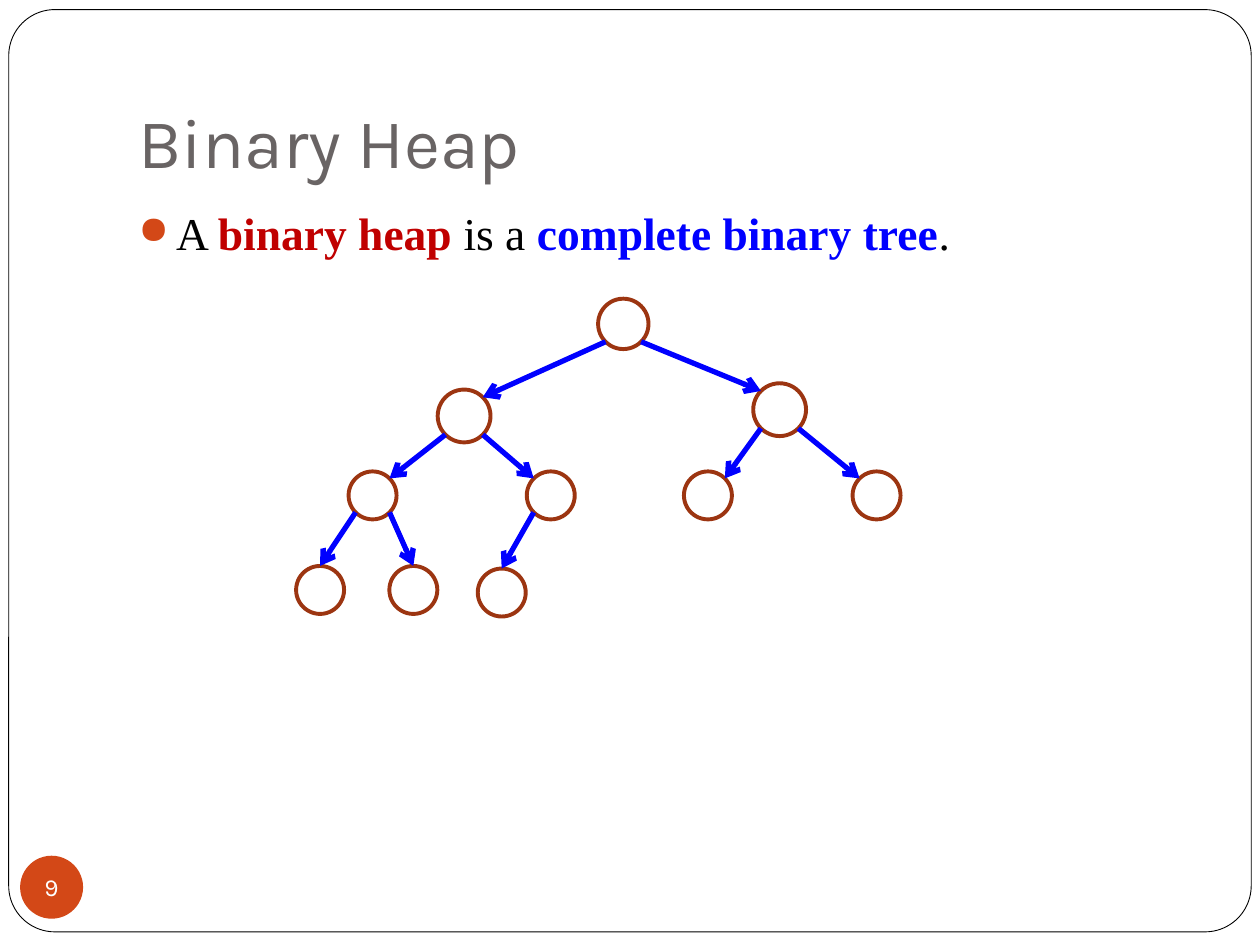
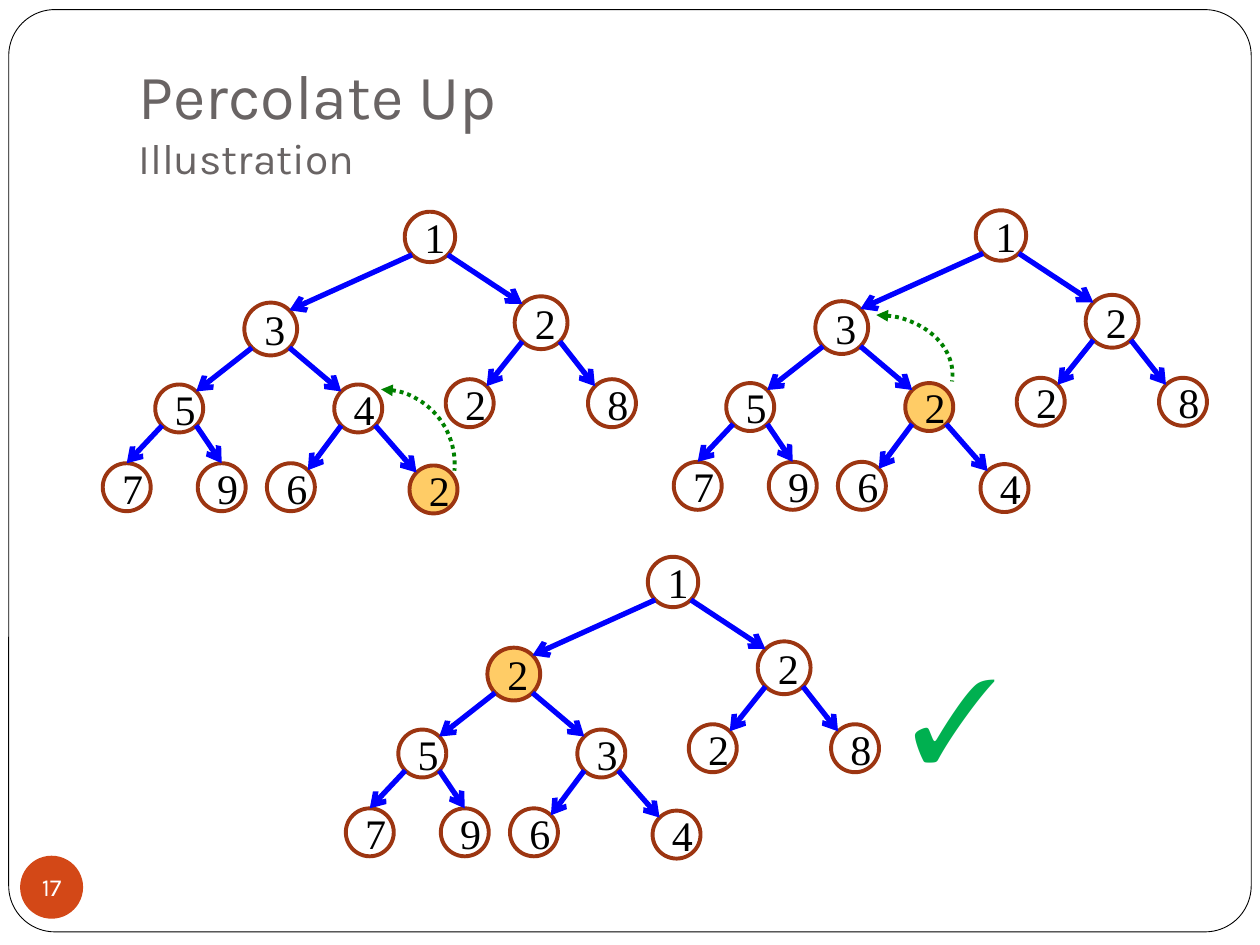
from lxml.etree import SubElement
from pptx import Presentation
from pptx.dml.color import RGBColor
from pptx.enum.dml import MSO_LINE
from pptx.enum.shapes import MSO_CONNECTOR as Connector, MSO_SHAPE as Shape
from pptx.enum.text import MSO_ANCHOR as Anchor, PP_ALIGN as Align
from pptx.oxml.ns import qn
from pptx.util import Pt

COLORS = {
    "white": "FFFFFF", "black": "000000", "title": "696464", "accent": "D34817",
    "ring": "9C3511", "edge": "0000FF", "marked": "FFCC66", "move": "008000",
    "term": "C00000", "done": "00B050",
}
HEADING, SERIF = "Karla", "Times New Roman"
NODE_SIZES = (28.8, 30.2, 27.4, 27.4)
CORNER = 0.354

WIDE_HEAP = (
    (0, 0),
    (-91, 52.6), (89.3, 49),
    (-143.3, 98), (-41.5, 98), (48.3, 98), (144.7, 98),
    (-173.3, 152), (-120, 152), (-69.5, 153.5),
)
COMPACT_HEAP = (
    (0, 0),
    (-91, 52.6), (63.5, 49),
    (-143.3, 98), (-41, 98), (22.7, 95), (104, 95),
    (-173.3, 143), (-119, 143), (-79.5, 143), (2, 144.3),
)
PERCOLATION = (
    ((245.7, 135.4), "13254287962", 10),
    ((572, 134.6), "13252287964", 4),
    ((384.6, 332.6), "12253287964", 1),
)
MOVES = ((175.7, 222.5, 84.2, 85.7), (457.2, 180, 87.1, 68.4))


def color(name):
    return RGBColor.from_string(COLORS[name])


def apply(target, values):
    for name, value in values.items():
        setattr(target, name, value)


class Deck:
    def __init__(self):
        self.deck = Presentation()
        apply(self.deck, {"slide_width": Pt(720), "slide_height": Pt(540)})
        self.page = None

    def add_page(self, number, *title):
        self.page = self.deck.slides.add_slide(self.deck.slide_layouts[6])
        frame = self.shape(Shape.ROUNDED_RECTANGLE, (5, 5.5, 710, 527), "white", "black", 0.5)
        frame.adjustments[0] = 0.05
        heading = self.box((72, 21.6, 612, 90), anchor=Anchor.BOTTOM, margin_bottom=Pt(7.2))
        para = heading.text_frame.paragraphs[0]
        for index, (text, size) in enumerate(title):
            if index:
                para.add_line_break()
            self.span(para, text, size, "title", HEADING)
        badge = self.shape(Shape.OVAL, (11.5, 489, 36, 36), "accent")
        self.label(badge, str(number), 14, "white", HEADING, word_wrap=False,
                   margin_left=0, margin_right=0, margin_top=0, margin_bottom=0)

    def box(self, area, anchor=Anchor.TOP, **format_values):
        box = self.page.shapes.add_textbox(*map(Pt, area))
        apply(box.text_frame, {"word_wrap": True, "vertical_anchor": anchor, **format_values})
        return box

    def span(self, para, text, size, tone, font=SERIF, bold=False):
        span = para.add_run()
        span.text = text
        apply(span.font, {"name": font, "size": Pt(size), "bold": bold})
        span.font.color.rgb = color(tone)

    def label(self, shape, text, size, tone, font=SERIF, **format_values):
        apply(shape.text_frame, {"word_wrap": True, "vertical_anchor": Anchor.MIDDLE, **format_values})
        para = shape.text_frame.paragraphs[0]
        para.alignment = Align.CENTER
        self.span(para, text, size, tone, font)

    def shape(self, kind, area, fill=None, line=None, width=2.25):
        shape = self.page.shapes.add_shape(kind, *map(Pt, area))
        shape.shadow.inherit = False
        if fill:
            shape.fill.solid()
            shape.fill.fore_color.rgb = color(fill)
        else:
            shape.fill.background()
        if line:
            shape.line.color.rgb = color(line)
            shape.line.width = Pt(width)
        else:
            shape.line.fill.background()
        return shape

    def bullet(self, area, spans, size=26):
        para = self.box(area).text_frame.paragraphs[0]
        para.space_before = Pt(5.8)
        props = para._p.get_or_add_pPr()
        apply_indent = {"marL": Pt(21.6), "indent": -Pt(21.6)}
        for name, value in apply_indent.items():
            props.set(name, str(int(value)))
        tint = SubElement(props, qn("a:buClr"))
        SubElement(tint, qn("a:srgbClr"), val=COLORS["accent"])
        SubElement(props, qn("a:buSzPct"), val="85000")
        SubElement(props, qn("a:buChar"), char="●")
        for text, tone, bold in spans:
            self.span(para, text, size, tone, bold=bold)

    def edge(self, start, end):
        edge = self.page.shapes.add_connector(Connector.STRAIGHT, *map(Pt, start + end))
        edge.line.color.rgb = color("edge")
        edge.line.width = Pt(3)
        SubElement(edge.get_or_add_ln(), qn("a:tailEnd"), type="arrow")
        SubElement(edge.element.spPr, qn("a:effectLst"))

    def move(self, area):
        arc = self.shape(Shape.ARC, area, line="move")
        arc.adjustments[0], arc.adjustments[1] = 162, 2.97
        arc.line.dash_style = MSO_LINE.ROUND_DOT
        SubElement(arc.get_or_add_ln(), qn("a:headEnd"), type="triangle")

    def heap(self, root, offsets, top_entries, keys="", marked=None):
        centers = [(root[0] + x, root[1] + y) for x, y in offsets]
        sizes = [NODE_SIZES[(index + 1).bit_length() - 1] for index in range(len(centers))]
        for index, ((x, y), size) in enumerate(zip(centers, sizes)):
            fill = "marked" if index == marked else None
            node = self.shape(Shape.OVAL, (x - size / 2, y - size / 2, size, size), fill, "ring")
            if keys:
                self.label(node, keys[index], 24, "black")
            if index:
                parent = (index - 1) // 2
                side = -1 if index % 2 else 1
                reach = CORNER * sizes[parent]
                start = (centers[parent][0] + side * reach, centers[parent][1] + reach)
                inset = CORNER * size
                end = (x, y - size / 2) if index in top_entries else (x - side * inset, y - inset)
                self.edge(start, end)


def main():
    deck = Deck()
    deck.add_page(9, ("Binary Heap", 40))
    deck.bullet((72, 113.8, 612, 360), (
        ("A ", "black", False),
        ("binary heap", "term", True),
        (" is a ", "black", False),
        ("complete binary tree", "edge", True),
        (".", "black", False),
    ))
    deck.heap((356.2, 185.1), WIDE_HEAP, (7, 8, 9))

    deck.add_page(17, ("Percolate Up", 36), ("Illustration", 24.3))
    for root, keys, marked in PERCOLATION:
        deck.heap(root, COMPACT_HEAP, (7, 8), keys, marked)
    for area in MOVES:
        deck.move(area)
    check = deck.box((514, 365.8, 67, 87), word_wrap=False)
    deck.span(check.text_frame.paragraphs[0], "✓", 66, "done")
    deck.deck.save("out.pptx")


if __name__ == "__main__":
    main()
